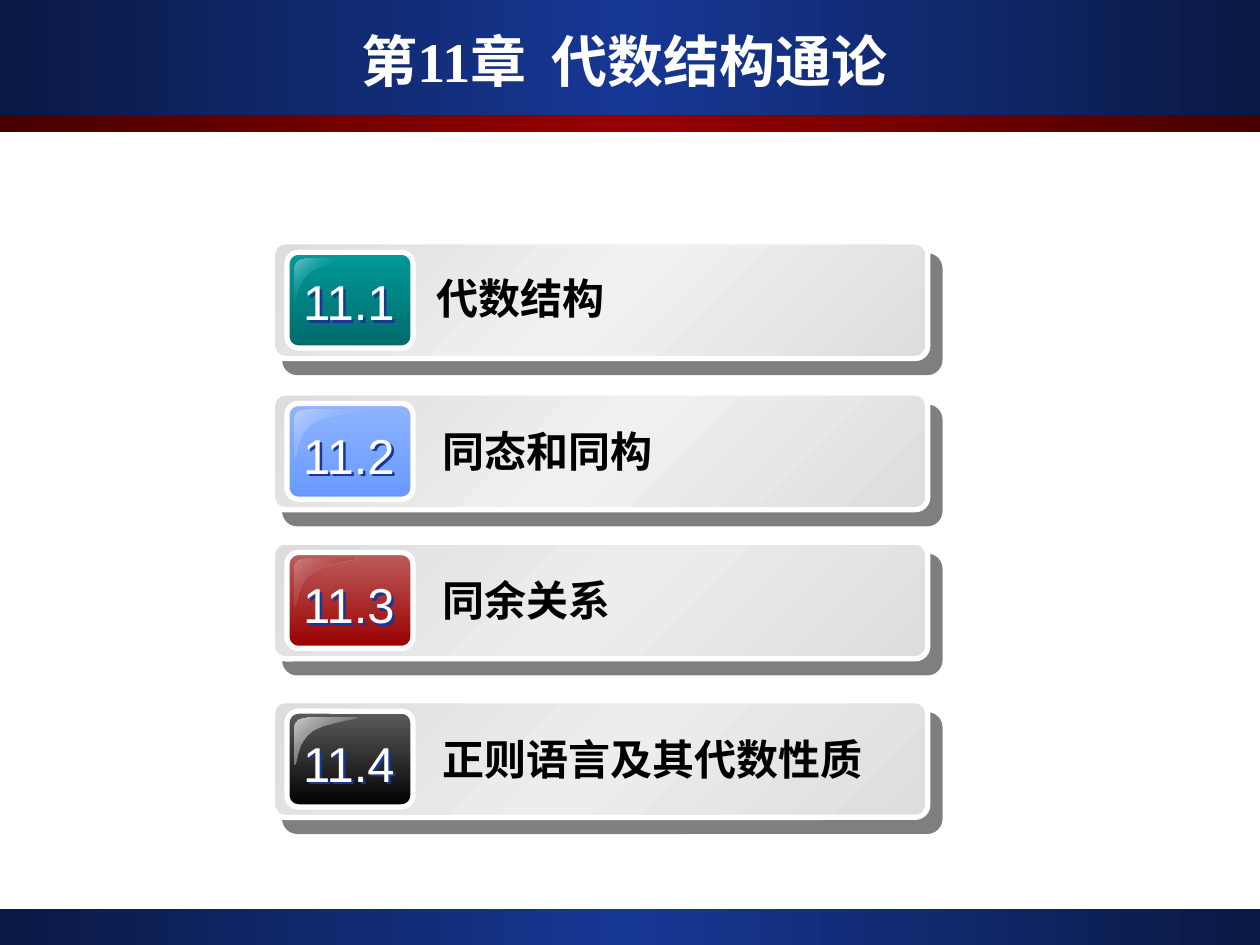
from lxml.etree import SubElement
from pptx import Presentation
from pptx.dml.color import RGBColor
from pptx.enum.shapes import MSO_SHAPE
from pptx.enum.text import MSO_ANCHOR, PP_ALIGN
from pptx.oxml.ns import qn
from pptx.util import Pt

NAVY = ["0A1944", "163794", "0A1944"]
MAROON = ["460000", "990000", "460000"]
GLOSS_START = (7.2, 0)
GLOSS = [
    [(2.9, 0), (0, 2.2), (0, 5.6)],
    [(0, 27)],
    [(1.4, 27.4), (0.7, 14.4), (10, 8)],
    [(18.7, 2.2), (36, 1.4), (35.5, 0)],
]
FIRST_LABEL = (86.4, 13.7, 36, 1)
LABEL = (90.2, 6.5, 44.6, 1.3)
ROWS = [
    (138.2, "11.1", "代数结构", "F1F1F1", ["009999", "006A6A"],
     ["73C6C6", "009999:0", "73C6C6"], (17.3, 0.9), FIRST_LABEL),
    (224.6, "11.2", "同态和同构", "F0F0F0", ["8FB4FE", "6699FF"],
     ["6699FF:0", "BDD2FE"], (15, 1), LABEL),
    (309.8, "11.3", "同余关系", "EDEDED", ["BD5C5C", "990000"],
     ["990000:0", "CC8282"], (15, 1), LABEL),
    (400.4, "11.4", "正则语言及其代数性质", "EDEDED", ["5C5C5C", "000000"],
     ["969696:0", "CBCBCB"], (15, 1), LABEL),
]


def rgb(value):
    """Turn a hex string into a colour."""
    return RGBColor.from_string(value)


def add_gradient(sp, colors, angle):
    """Fill a shape with evenly spaced stops, each RRGGBB or RRGGBB:alpha."""
    sp.fill.background()
    fill = sp._element.spPr.find(qn("a:noFill"))
    grad = fill.makeelement(qn("a:gradFill"), {"rotWithShape": "1"})
    stops = SubElement(grad, qn("a:gsLst"))
    for i, color in enumerate(colors):
        value, _, alpha = color.partition(":")
        pos = str(100000 * i // (len(colors) - 1))
        clr = SubElement(SubElement(stops, qn("a:gs"), pos=pos), qn("a:srgbClr"), val=value)
        if alpha:
            SubElement(clr, qn("a:alpha"), val=str(int(alpha) * 1000))
    SubElement(grad, qn("a:lin"), ang=str(angle * 60000), scaled="0")
    fill.getparent().replace(fill, grad)


def add_shadow(sp, color, alpha, distance, angle):
    """Give a shape a hard outer shadow."""
    sp.shadow.inherit = False
    effects = sp._element.spPr.find(qn("a:effectLst"))
    shadow = SubElement(effects, qn("a:outerShdw"), blurRad="0", dist=str(Pt(distance)),
                        dir=str(angle * 60000), algn="ctr", rotWithShape="0")
    clr = SubElement(shadow, qn("a:srgbClr"), val=color)
    SubElement(clr, qn("a:alpha"), val=str(alpha * 1000))


def add_bar(s, x, y, w, h, colors):
    """Draw a full-width gradient band."""
    sp = s.shapes.add_shape(MSO_SHAPE.RECTANGLE, Pt(x), Pt(y), Pt(w), Pt(h))
    sp.shadow.inherit = False
    add_gradient(sp, colors, 180)
    sp.line.fill.background()


def add_panel(s, x, y, w, h, radius, colors, angle):
    """Draw a rounded gradient panel with a white border."""
    sp = s.shapes.add_shape(MSO_SHAPE.ROUNDED_RECTANGLE, Pt(x), Pt(y), Pt(w), Pt(h))
    sp.adjustments[0] = radius
    sp.shadow.inherit = False
    add_gradient(sp, colors, angle)
    sp.line.color.rgb = rgb("FFFFFF")
    sp.line.width = Pt(3)
    return sp


def add_text(s, x, y, w, h, text, size, color, font="Arial", bold=False,
             align=PP_ALIGN.LEFT, spacing=1, wrap=True):
    """Place one line of text and return its box."""
    sp = s.shapes.add_textbox(Pt(x), Pt(y), Pt(w), Pt(h))
    tf = sp.text_frame
    tf.word_wrap = wrap
    tf.text = text
    p = tf.paragraphs[0]
    p.alignment = align
    p.line_spacing = spacing
    r = p.runs[0]
    r.font.size = Pt(size)
    r.font.bold = bold
    r.font.color.rgb = rgb(color)
    r.font.name = font
    SubElement(r._r.rPr, qn("a:ea"), typeface="Noto Sans CJK SC")
    return sp


def add_gloss(s, x, y, colors):
    """Draw the curved highlight in the corner of a number tile."""
    def place(point):
        return Pt(x + point[0]), Pt(y + point[1])

    builder = s.shapes.build_freeform(*place(GLOSS_START))
    builder.add_line_segments([place(pt) for part in GLOSS for pt in part], close=True)
    sp = builder.convert_to_shape()
    lines = iter(list(sp._element.iter(qn("a:lnTo"))))
    for part in GLOSS:
        segments = [next(lines) for _ in part]
        if len(part) == 3:
            curve = segments[0].makeelement(qn("a:cubicBezTo"), {})
            segments[0].addprevious(curve)
            for segment in segments:
                curve.append(segment[0])
                segment.getparent().remove(segment)
    sp.shadow.inherit = False
    add_gradient(sp, colors, 225)
    sp.line.fill.background()


def add_row(s, x, y, w, h, number, title, middle, tile, gloss, number_fit, label_fit):
    """Draw one section row: panel, number tile and label."""
    panel = add_panel(s, x, y, w, h, 0.109, ["DDDDDD", middle, "DDDDDD"], 225)
    add_shadow(panel, "000000", 50, 10.6, 49)
    add_panel(s, x + 8.2, y + 6, 72, 54.7, 0.119, tile, 90)
    add_gloss(s, x + 12.6, y + 9.4, gloss)
    dy, spacing = number_fit
    sp = add_text(s, x + 9.4, y + dy, 68.4, 41, number, 28, "FFFFFF",
                  align=PP_ALIGN.CENTER, spacing=spacing, wrap=False)
    add_shadow(sp, "163794", 100, 2, 45)
    dx, dy, height, spacing = label_fit
    add_text(s, x + dx, y + dy, 275, height, title, 24, "000000", bold=True, spacing=spacing)


def add_header(s, x, y, w, h):
    """Draw the title band with its red rule and title."""
    add_bar(s, x, y, w, h, NAVY)
    add_bar(s, x, y + h, w, 9.4, MAROON)
    sp = add_text(s, x + 24, y + 12.2, 666, 44.6, "第11章  代数结构通论", 32, "FFFFFF",
                  font="Times New Roman", bold=True, align=PP_ALIGN.CENTER)
    sp.text_frame.vertical_anchor = MSO_ANCHOR.MIDDLE


def main():
    """Build the chapter contents slide."""
    prs = Presentation()
    prs.slide_width, prs.slide_height = Pt(720), Pt(540)
    s = prs.slides.add_slide(prs.slide_layouts[6])
    add_bar(s, 0, 519.6, 720, 20.4, NAVY)
    add_header(s, 0, 0, 720, 65.8)
    for top, *parts in ROWS:
        add_row(s, 155.8, top, 374.4, 66.7, *parts)
    prs.save("out.pptx")


if __name__ == "__main__":
    main()
